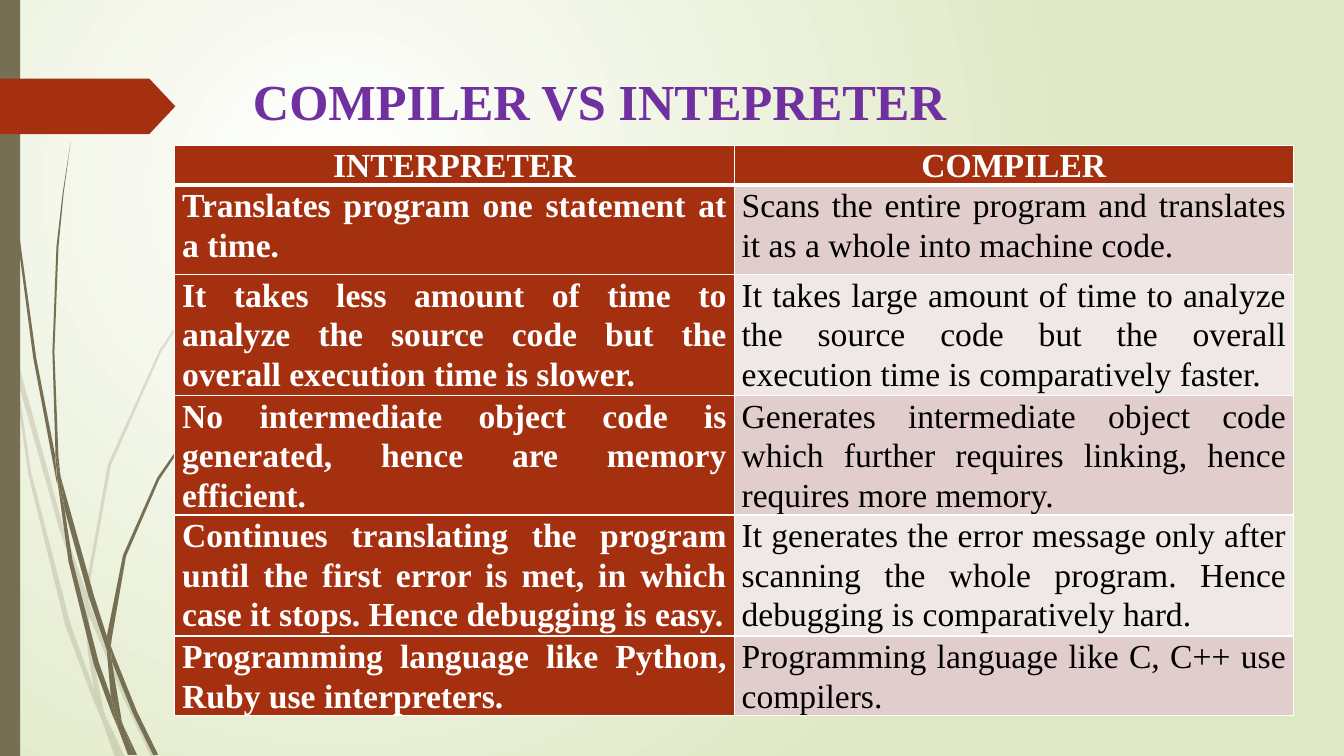
import pptx
import pptx.util
import pptx.dml.color
import pptx.enum.shapes
import pptx.enum.text
import pptx.oxml
import pptx.oxml.ns
from lxml import etree

Cm, Pt, qn = pptx.util.Cm, pptx.util.Pt, pptx.oxml.ns.qn
ALIGN = pptx.enum.text.PP_ALIGN
SHAPE = pptx.enum.shapes.MSO_SHAPE
FONT = "Times New Roman"
OLIVE, RUST, PURPLE, WHITE, BLACK = "766F54", "A53010", "7030A0", "FFFFFF", "000000"
BANDS = ("E1CDCC", "F0E8E7")
CM_PER_INCH = 2.54

PALE_GRASS = [
    [(0.11, 3.5), (0.09, 3.22), (0, 2.82), (0, 2.99), (0.1, 3.44)],
    [(0.58, 5.22), (0.84, 5.99), (0.85, 5.86), (0.62, 5.2), (0.14, 3.45), (0.17, 3.76)],
    [(0.92, 6.07), (0.88, 5.96), (0.88, 6.1), (1.23, 6.94), (1.5, 7.51), (1.55, 7.51),
     (1.27, 6.92)],
    [(1.19, 7.51), (1.24, 7.51), (1.05, 7.11)],
    [(0.93, 6.83), (0.7, 6.19), (0.31, 4.69), (0.17, 3.76), (0.11, 3.5), (0.28, 4.7),
     (0.65, 6.21), (0.92, 6.93), (1.01, 7.14), (0.99, 7.07)],
    [(0.84, 5.99), (0.87, 6.46), (0.93, 6.83), (0.96, 6.92), (1.05, 7.11), (1.03, 7.06),
     (0.91, 6.46), (0.88, 6.1), (0.88, 6.08)],
    [(0.88, 5.84), (1.1, 4.62), (1.6, 3.49), (2.29, 2.45), (2.68, 1.98), (2.9, 1.75),
     (3.12, 1.54), (3.12, 1.53), (2.89, 1.75), (2.68, 1.97), (2.28, 2.44), (1.58, 3.48),
     (1.07, 4.61), (0.85, 5.84), (0.85, 5.86), (0.88, 5.96)],
    [(1.01, 7.14), (1.14, 7.51), (1.19, 7.51)],
    [(0.88, 6.08), (0.88, 6.1), (0.88, 5.96), (0.85, 5.86), (0.84, 5.99)],
    [(0.96, 6.92), (0.93, 6.83), (0.99, 7.07), (1.01, 7.14), (1.19, 7.51), (1.05, 7.11)],
]
DARK_GRASS = [
    [(0.07, 1.1), (0.17, 2.33), (0.33, 3.55), (0.56, 4.77), (0.57, 4.81), (0.55, 4.57),
     (0.55, 4.53), (0.36, 3.55), (0.19, 2.32), (0.08, 1.09), (0.05, 0.48), (0.04, 0),
     (0.03, 0), (0.04, 0.48)],
    [(0.88, 5.92), (1.06, 6.45), (1.06, 6.33), (1.06, 6.31), (0.93, 5.9), (0.6, 4.72),
     (0.64, 5.05)],
    [(1.13, 6.49), (1.1, 6.41), (1.11, 6.56), (1.32, 7.08), (1.52, 7.49), (1.57, 7.49),
     (1.36, 7.06)],
    [(1.1, 6.91), (0.98, 6.57), (0.72, 5.56), (0.64, 5.05), (0.57, 4.77), (0.68, 5.57),
     (0.93, 6.59), (1.11, 7.08), (1.17, 7.22), (1.16, 7.17)],
    [(0.6, 4.72), (0.58, 4.53), (0.54, 3.49), (0.58, 2.45), (0.63, 1.93), (0.7, 1.41),
     (0.62, 1.93), (0.56, 2.45), (0.52, 3.49), (0.55, 4.49)],
    [(1.33, 7.49), (1.36, 7.49), (1.22, 7.19)],
    [(0.57, 4.77), (0.64, 5.05), (0.6, 4.72), (0.55, 4.49), (0.55, 4.53)],
    [(1.11, 6.33), (1.25, 5.52), (1.58, 4.76), (2.05, 4.06), (2.31, 3.74), (2.45, 3.59),
     (2.61, 3.44), (2.6, 3.44), (2.45, 3.58), (2.31, 3.73), (2.04, 4.05), (1.56, 4.74),
     (1.22, 5.51), (1.06, 6.31), (1.1, 6.41)],
    [(1.17, 7.22), (1.27, 7.49), (1.31, 7.49)],
    [(1.06, 6.45), (1.1, 6.91), (1.16, 7.06), (1.22, 7.19), (1.21, 7.16), (1.11, 6.56),
     (1.09, 6.51)],
    [(1.06, 6.45), (1.09, 6.51), (1.11, 6.56), (1.1, 6.41), (1.06, 6.31), (1.06, 6.33)],
    [(1.16, 7.06), (1.1, 6.91), (1.16, 7.17), (1.17, 7.22), (1.3, 7.49), (1.33, 7.49),
     (1.22, 7.19)],
]
HEADINGS = ("INTERPRETER", "COMPILER")
COMPARISON = [
    ("Translates program one statement at a time.",
     "Scans the entire program and translates it as a whole into machine code."),
    ("It takes less amount of time to analyze the source code but the overall execution "
     "time is slower.",
     "It takes large amount of time to analyze the source code but the overall execution "
     "time is comparatively faster."),
    ("No intermediate object code is generated, hence are memory efficient.",
     "Generates intermediate object code which further requires linking, hence requires "
     "more memory."),
    ("Continues translating the program until the first error is met, in which case it "
     "stops. Hence debugging is easy.",
     "It generates the error message only after scanning the whole program. Hence "
     "debugging is comparatively hard."),
    ("Programming language like Python, Ruby use interpreters.",
     "Programming language like C, C++ use compilers."),
]
ROW_HEIGHTS = (0.74, 2.26, 3.05, 2.26, 3.05, 1.5)


def color(hex_text):
    """Return the colour for a hex string."""
    return pptx.dml.color.RGBColor.from_string(hex_text)


def paint(shape, fill, opacity=100):
    """Give a shape a plain fill without line or shadow."""
    shape.shadow.inherit = False
    shape.fill.solid()
    shape.fill.fore_color.rgb = color(fill)
    shape.line.fill.background()
    if opacity < 100:
        tint = shape.element.spPr.find(".//" + qn("a:srgbClr"))
        etree.SubElement(tint, qn("a:alpha"), val=str(opacity * 1000))


def write(para, text, size, ink, bold, align):
    """Add one formatted run to a paragraph."""
    para.alignment = align
    span = para.add_run()
    span.text = text
    span.font.name, span.font.size, span.font.bold = FONT, Pt(size), bold
    span.font.color.rgb = color(ink)


def add_background(page):
    """Fill the page with a round gradient."""
    fill = page.background.fill
    fill.gradient()
    for stop, position, tone in zip(fill.gradient_stops, (0, 1), (WHITE, "DFE8C4")):
        stop.position, stop.color.rgb = position, color(tone)
    gradient = page.element.find(".//" + qn("a:gradFill"))
    for linear in gradient.findall(qn("a:lin")):
        gradient.remove(linear)
    circle = etree.SubElement(gradient, qn("a:path"), {"path": "circle"})
    etree.SubElement(circle, qn("a:fillToRect"), l="50000", t="50000", r="100000", b="100000")


def add_blade(page, outline, opacity):
    """Draw one piece of grass from its outline in inches."""
    corners = [(Cm(x * CM_PER_INCH), Cm(y * CM_PER_INCH)) for x, y in outline]
    builder = page.shapes.build_freeform(*corners[0])
    builder.add_line_segments(corners[1:])
    paint(builder.convert_to_shape(), OLIVE, opacity)


def add_decoration(page, height):
    """Draw the grass, the side bar and the arrow tab."""
    for grass, opacity in ((PALE_GRASS, 20), (DARK_GRASS, 100)):
        for outline in grass:
            add_blade(page, outline, opacity)
    paint(page.shapes.add_shape(SHAPE.RECTANGLE, 0, 0, Cm(0.51), height), OLIVE)
    tab = page.shapes.add_shape(SHAPE.PENTAGON, 0, Cm(1.98), Cm(4.42), Cm(1.4))
    tab.adjustments[0] = 0.47
    paint(tab, RUST)


def add_title(page, left, top, width, height):
    """Place and format the title."""
    title = page.shapes.title
    title.left, title.top, title.width, title.height = left, top, width, height
    title.text_frame.vertical_anchor = pptx.enum.text.MSO_ANCHOR.TOP
    title.text_frame.margin_top = Cm(0.17)
    write(title.text_frame.paragraphs[0], "COMPILER VS INTEPRETER", 36, PURPLE, True, ALIGN.LEFT)


def add_borders(cell, top, bottom):
    """Draw white borders round a cell, with widths in points."""
    props = cell._tc.get_or_add_tcPr()
    for place, (side, width) in enumerate((("L", 1), ("R", 1), ("T", top), ("B", bottom))):
        line = etree.Element(qn("a:ln" + side), w=str(Pt(width)))
        solid = etree.SubElement(line, qn("a:solidFill"))
        etree.SubElement(solid, qn("a:srgbClr"), val=WHITE)
        props.insert(place, line)


def add_comparison(page, left, top, width):
    """Build the two-column comparison table."""
    rows = [HEADINGS, *COMPARISON]
    frame = page.shapes.add_table(len(rows), 2, left, top, width, Cm(sum(ROW_HEIGHTS)))
    table = frame.table
    table.first_col = True
    for column in table.columns:
        column.width = width // 2
    for r, texts in enumerate(rows):
        table.rows[r].height = Cm(ROW_HEIGHTS[r])
        for c, text in enumerate(texts):
            cell = table.cell(r, c)
            strong = r == 0 or c == 0
            cell.margin_left = cell.margin_right = Cm(0.19)
            cell.margin_top = cell.margin_bottom = 0
            cell.fill.solid()
            cell.fill.fore_color.rgb = color(RUST if strong else BANDS[(r - 1) % 2])
            add_borders(cell, 3 if r == 1 else 1, 3 if r == 0 else 1)
            para = cell.text_frame.paragraphs[0]
            para.line_spacing = 1.07
            write(para, text, 24, WHITE if strong else BLACK, strong,
                  ALIGN.JUSTIFY if r else ALIGN.CENTER)


def main():
    """Build the deck and save it."""
    deck = pptx.Presentation()
    deck.slide_width, deck.slide_height = Cm(33.87), Cm(19.05)
    page = deck.slides.add_slide(deck.slide_layouts[5])
    add_background(page)
    add_decoration(page, deck.slide_height)
    add_title(page, Cm(6.12), Cm(1.6), Cm(24.77), Cm(2.06))
    add_comparison(page, Cm(4.4), Cm(3.66), Cm(28.2))
    deck.save("out.pptx")


if __name__ == "__main__":
    main()
